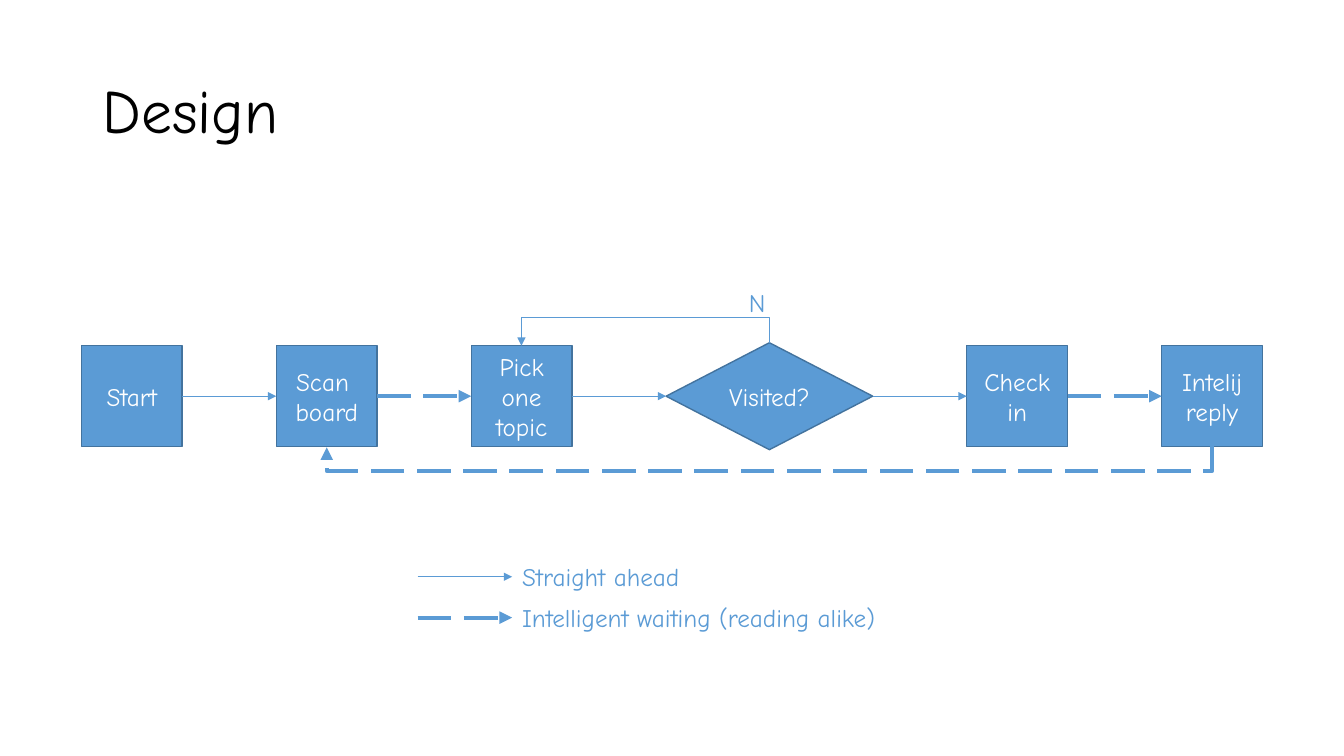
import pptx
import pptx.util
import pptx.dml.color
import pptx.enum.dml
import pptx.enum.shapes
import pptx.enum.text
import pptx.oxml
import pptx.oxml.ns

Pt = pptx.util.Pt
ALIGN = pptx.enum.text.PP_ALIGN
SHAPE = pptx.enum.shapes.MSO_SHAPE
LINK = pptx.enum.shapes.MSO_CONNECTOR
qn = pptx.oxml.ns.qn
COLORS = {
    name: pptx.dml.color.RGBColor.from_string(code)
    for name, code in {
        "blue": "5B9BD5", "edge": "43739E", "white": "FFFFFF", "black": "000000",
    }.items()
}
LINES = {
    "ahead": {"width": Pt(0.5)},
    "wait": {"width": Pt(3), "dash_style": pptx.enum.dml.MSO_LINE.LONG_DASH},
}


def write(frame, text, color, size=18, align=ALIGN.LEFT):
    frame.text = text
    for para in frame.paragraphs:
        para.alignment = align
        for run in para.runs:
            for key, value in {"name": "Comic Neue", "size": Pt(size)}.items():
                setattr(run.font, key, value)
            run.font.color.rgb = COLORS[color]


def arrow(kind, start, end, route=LINK.STRAIGHT):
    """Add a connector with an arrowhead in one of the two line styles."""
    link = slide.shapes.add_connector(route, *(Pt(n) for n in start + end))
    link.line.color.rgb = COLORS["blue"]
    for key, value in LINES[kind].items():
        setattr(link.line, key, value)
    props = link._element.spPr
    head = pptx.oxml.parse_xml(
        f'<a:tailEnd {pptx.oxml.ns.nsdecls("a")} type="triangle"/>')
    props.find(qn("a:ln")).append(head)
    props.append(pptx.oxml.parse_xml(
        f'<a:effectLst {pptx.oxml.ns.nsdecls("a")}/>'))
    return link


deck = pptx.Presentation()
deck.slide_width, deck.slide_height = Pt(960), Pt(540)
slide = deck.slides.add_slide(deck.slide_layouts[5])

title = slide.shapes.title
for key, value in {"left": 66, "top": 28.8, "width": 828, "height": 104.4}.items():
    setattr(title, key, Pt(value))
write(title.text_frame, "Design", "black", 44)
title.text_frame.vertical_anchor = pptx.enum.text.MSO_ANCHOR.MIDDLE
title.text_frame.paragraphs[0].line_spacing = 0.9

# Steps in a row, on one middle line
SIDE, GAP, MID = 72, 67.2, 283
STEPS = [
    ("Start", SHAPE.RECTANGLE, SIDE, SIDE),
    ("Scan \nboard", SHAPE.RECTANGLE, SIDE, SIDE),
    ("Pick one topic", SHAPE.RECTANGLE, SIDE, SIDE),
    ("Visited?", SHAPE.DIAMOND, 147.6, 76.4),
    ("Check in", SHAPE.RECTANGLE, SIDE, SIDE),
    ("Intelij\nreply", SHAPE.RECTANGLE, SIDE, SIDE),
]
left = 58.2
steps = []
for text, form, wide, high in STEPS:
    step = slide.shapes.add_shape(
        form, Pt(left), Pt(MID - high / 2), Pt(wide), Pt(high))
    step.shadow.inherit = False
    step.fill.solid()
    step.fill.fore_color.rgb = COLORS["blue"]
    step.line.color.rgb = COLORS["edge"]
    step.line.width = Pt(1)
    write(step.text_frame, text, "white", align=ALIGN.CENTER)
    steps.append(step)
    left += wide + GAP

# Arrows from the right side of a step to the left side of the next
KINDS = ["ahead", "wait", "ahead", "ahead", "wait"]
for kind, first, second in zip(KINDS, steps, steps[1:]):
    link = arrow(kind, (0, MID), (0, MID))
    link.begin_connect(first, 3)
    link.end_connect(second, 1)

# Return loops: middle, thickness and span before the turn, bend in thicknesses
LOOPS = [
    ("ahead", 461, 245.9, 2, 177, 270, True, -9),
    ("wait", 549.6, 319, 1, 632.4, 90, False, 18),
]
for kind, x, y, thick, span, turn, flip, bend in LOOPS:
    start = (x - thick / 2, y - span / 2)
    end = (x + thick / 2, y + span / 2)
    if flip:
        start, end = end, start
    link = arrow(kind, start, end, LINK.ELBOW)
    props = link._element.spPr
    props.find(qn("a:xfrm")).set("rot", str(turn * 60000))
    guide = pptx.oxml.parse_xml(
        f'<a:gd {pptx.oxml.ns.nsdecls("a")} name="adj1" fmla="val {bend * 100000}"/>')
    props.find(qn("a:prstGeom")).get_or_add_avLst().append(guide)

# Legend arrows and free labels
KEY, ROW = 365.8, 29.2
for row, kind in enumerate(LINES):
    y = 412 + row * ROW
    arrow(kind, (298.4, y), (KEY, y))

LABELS = [
    ("N", 527.8, 201.6, 28.8),
    ("Straight ahead", KEY, 397.4, 142.6),
    ("Intelligent waiting (reading alike)", KEY, 397.4 + ROW, 296),
]
for text, x, y, wide in LABELS:
    label = slide.shapes.add_textbox(Pt(x), Pt(y), Pt(wide), Pt(29))
    label.text_frame.word_wrap = False
    write(label.text_frame, text, "blue")

deck.save("out.pptx")
